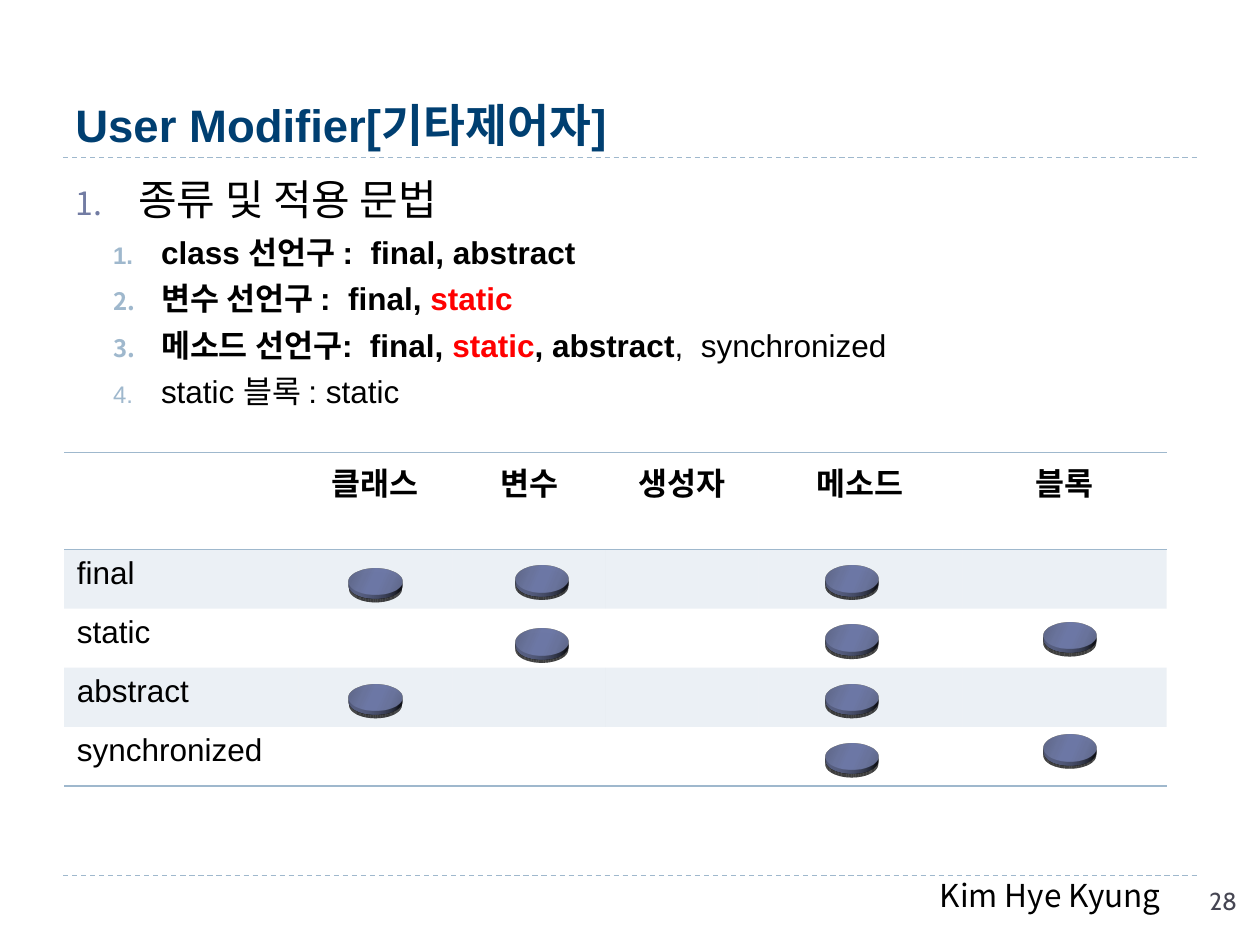
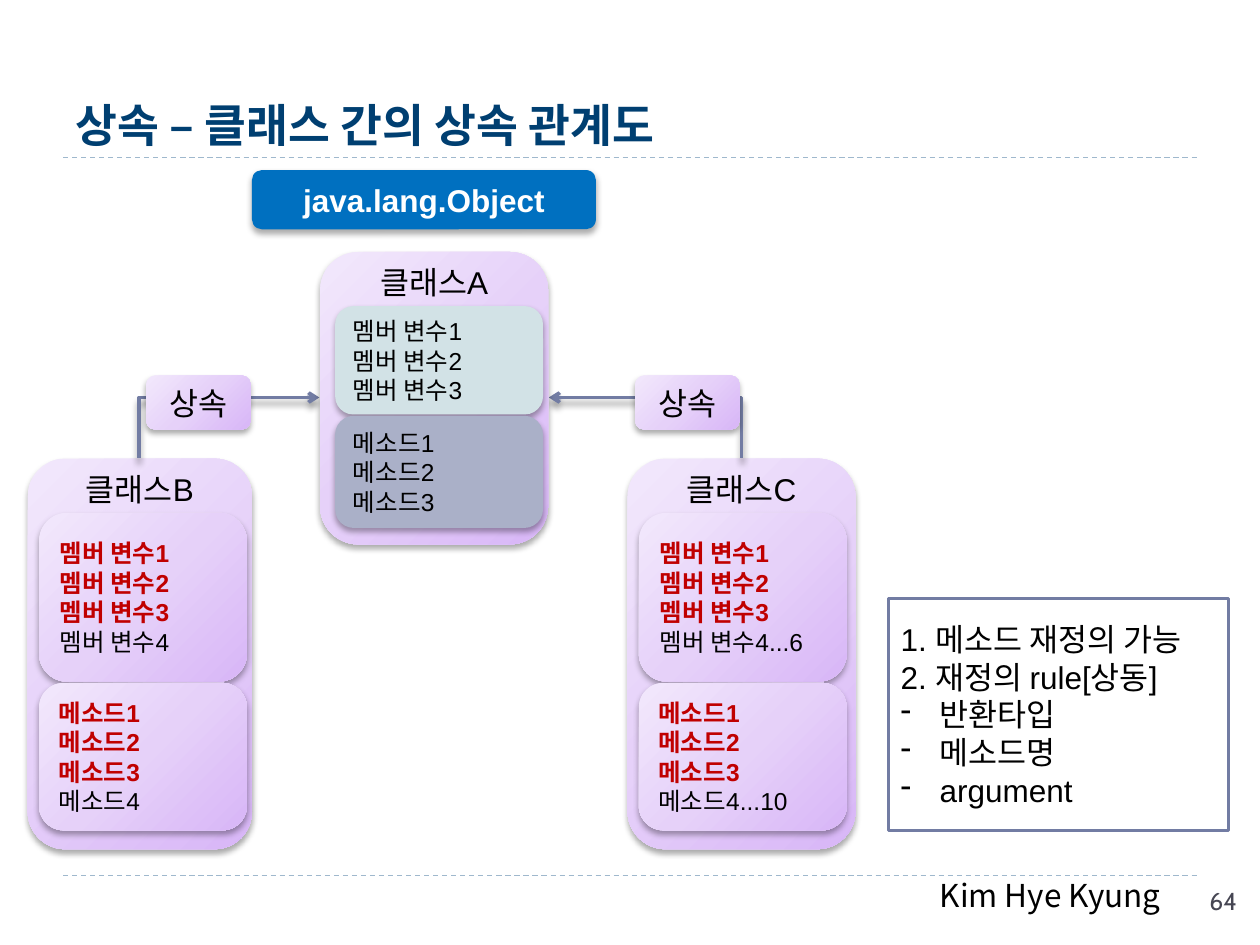
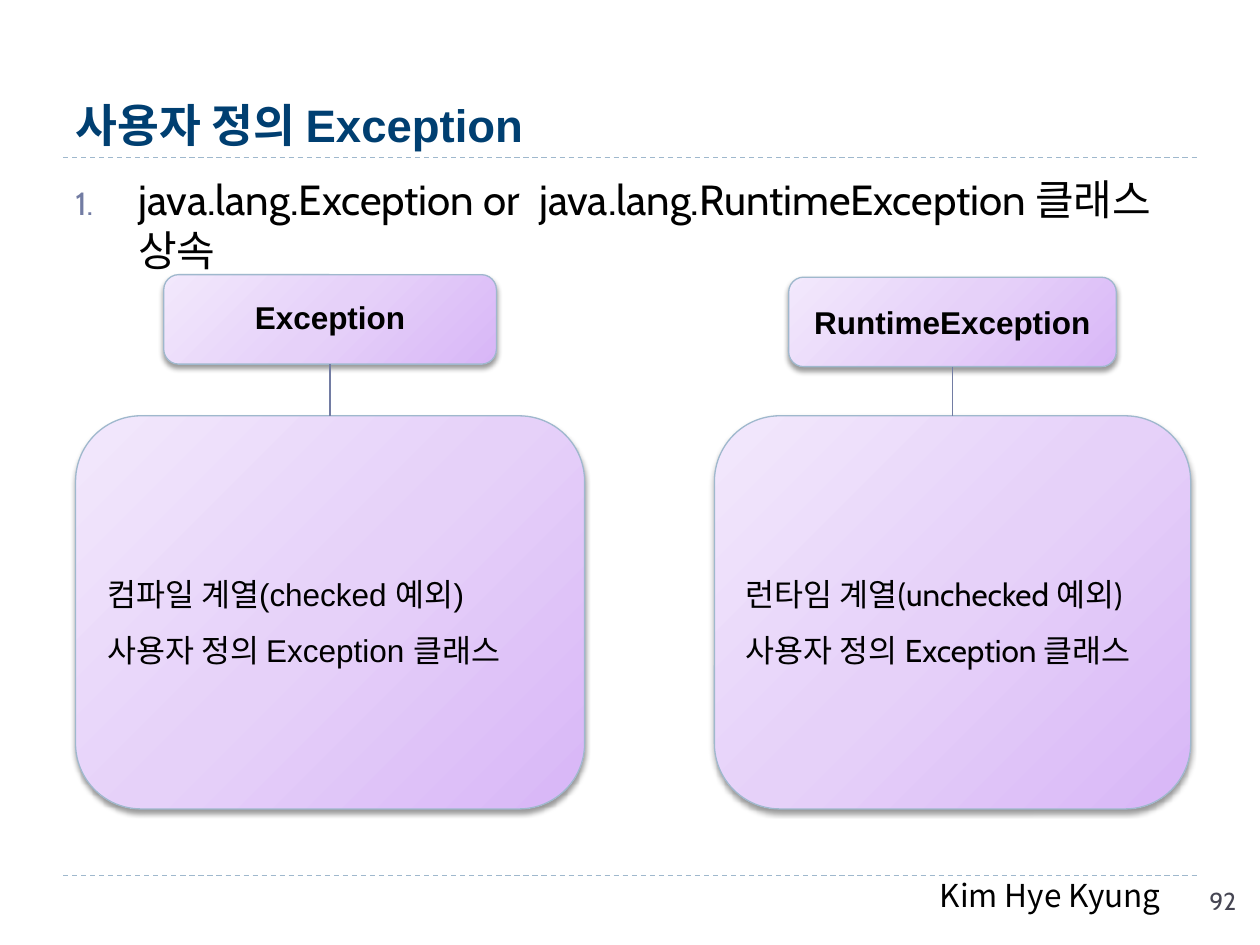
from lxml import etree
from pptx import Presentation
from pptx.dml.color import RGBColor
from pptx.enum.dml import MSO_LINE
from pptx.enum.shapes import MSO_CONNECTOR, MSO_SHAPE
from pptx.enum.text import MSO_ANCHOR, PP_ALIGN
from pptx.oxml import parse_xml
from pptx.oxml.ns import qn
from pptx.util import Inches, Pt

STRAIGHT, ELBOW = MSO_CONNECTOR.STRAIGHT, MSO_CONNECTOR.ELBOW
ROUND, RECT, OVAL = MSO_SHAPE.ROUNDED_RECTANGLE, MSO_SHAPE.RECTANGLE, MSO_SHAPE.OVAL
TOP, MIDDLE, BOTTOM = MSO_ANCHOR.TOP, MSO_ANCHOR.MIDDLE, MSO_ANCHOR.BOTTOM
LEFT, CENTER = PP_ALIGN.LEFT, PP_ALIGN.CENTER
DASH = MSO_LINE.DASH

NS = 'xmlns:a="http://schemas.openxmlformats.org/drawingml/2006/main"'
NOSTYLE = "{2D5ABB26-0587-4C30-8999-92F81FD0307C}"
BLACK, WHITE, RED, WINE = "000000", "FFFFFF", "FF0000", "C00000"
NAVY, SLATE, SKY, GREY = "003F71", "727CA3", "9FB8CD", "464653"
CJK = "Noto Sans CJK KR"

LILAC = ([(0, "D8B6F7"), (50, "E6D1F9"), (100, "F2E8FC")],
         '<a:path path="circle"><a:fillToRect l="100000" t="100000"/></a:path>')
DISC = ([(0, "5D6585"), (30, "6B759E"), (45, "6E79A7"),
         (55, "6E79A7"), (73, "6B759E"), (100, "5D6585")],
        '<a:lin ang="960000" scaled="1"/>')
SOFT, DEEP, EDGE, BEND = (32, 3.5, 2.2), (50, 4, 2), (40, 3, 2), (40, 4, 3.4)

BODY = {"name": "Arial", "size": Pt(18), "color": BLACK}
BOLD = {**BODY, "bold": True}
SMALL = {**BODY, "size": Pt(14)}
BIG = {**BODY, "size": Pt(24)}
HEAD = {**BOLD, "size": Pt(26), "color": NAVY}
NAME = {**BODY, "name": CJK}
PAGE = {"name": "Cabin", "size": Pt(14), "color": GREY}


def hue(code):
    """Turn a hex string into a colour."""
    return RGBColor.from_string(code)


def node(xml):
    """Parse one drawing element."""
    return parse_xml(xml.replace(" ", f" {NS} ", 1) if " " in xml.split(">")[0]
                     else xml.replace(">", f" {NS}>", 1))


def style(item, vals):
    """Set attributes from a dict of format values."""
    for key, val in vals.items():
        if key == "color":
            item.color.rgb = hue(val)
        else:
            setattr(item, key, val)


def bullet(para, mark, left, hang, color=None, font=None):
    """Give a paragraph a hanging number or character."""
    props = para._p.get_or_add_pPr()
    props.set("marL", str(Inches(left)))
    props.set("indent", str(-Inches(hang)))
    if color:
        props.append(node(f'<a:buClr><a:srgbClr val="{color}"/></a:buClr>'))
        props.append(node('<a:buSzPct val="76000"/>'))
    if font:
        props.append(node(f'<a:buFont typeface="{font}"/>'))
    if mark == "1.":
        props.append(node('<a:buAutoNum type="arabicPeriod"/>'))
    else:
        props.append(node(f'<a:buChar char="{mark}"/>'))


def write(frame, paras, font, align=LEFT, **look):
    """Fill a frame with paragraphs given as text or (runs, format, bullet)."""
    style(frame, {"word_wrap": True, **look})
    for i, item in enumerate(paras):
        runs, form, mark = ([(item, {})], {}, None) if isinstance(item, str) else item
        para = frame.paragraphs[0] if i == 0 else frame.add_paragraph()
        style(para, {"alignment": align, **form})
        if mark:
            bullet(para, *mark)
        for text, extra in runs:
            run = para.add_run()
            run.text = text
            style(run.font, {**font, **extra})


def label(slide, box, paras, font, **look):
    """Add a text box."""
    frame = slide.shapes.add_textbox(*map(Inches, box)).text_frame
    write(frame, paras, font, **look)


def blend(shape, grad):
    """Fill a shape with a gradient."""
    stops, way = grad
    marks = "".join(f'<a:gs pos="{pos * 1000}"><a:srgbClr val="{code}"/></a:gs>'
                    for pos, code in stops)
    shape.fill.background()
    props = shape._element.spPr
    props.replace(props.find(qn("a:noFill")), node(
        f'<a:gradFill rotWithShape="1"><a:gsLst>{marks}</a:gsLst>{way}</a:gradFill>'))


def shade(item, glow=None):
    """Drop the theme shadow and cast an own one if given."""
    props = item._element.spPr
    effect = props.find(qn("a:effectLst"))
    if effect is None:
        effect = etree.SubElement(props, qn("a:effectLst"))
    if glow:
        alpha, blur, dist = glow
        effect.append(node(
            f'<a:outerShdw blurRad="{Pt(blur)}" dist="{Pt(dist)}" dir="5400000" '
            f'rotWithShape="0"><a:srgbClr val="{BLACK}"><a:alpha val="{alpha * 1000}"/>'
            '</a:srgbClr></a:outerShdw>'))


def shape(slide, kind, box, fill, line=None, glow=None):
    """Add a preset shape with fill, outline and shadow."""
    item = slide.shapes.add_shape(kind, *map(Inches, box))
    item.shadow.inherit = False
    if isinstance(fill, str):
        item.fill.solid()
        item.fill.fore_color.rgb = hue(fill)
    else:
        blend(item, fill)
    if line:
        style(item.line, {"color": line[0], "width": Pt(line[1])})
    else:
        item.line.fill.background()
    shade(item, glow)
    return item


def block(slide, box, paras, font=BODY, fill=LILAC, kind=ROUND,
          line=None, glow=SOFT, **look):
    """Add a shape that holds text."""
    item = shape(slide, kind, box, fill, line, glow)
    write(item.text_frame, paras, font, **{"vertical_anchor": MIDDLE, **look})


def rule(slide, ends, color=SLATE, kind=STRAIGHT, **look):
    """Add a line."""
    line = slide.shapes.add_connector(kind, *map(Inches, ends))
    style(line.line, {"color": color, "width": Pt(0.75), **look})
    return line


def bend(slide, box, **turn):
    """Add a one-corner arrow."""
    x, y, w, h = box
    line = rule(slide, (x, y, x + w, y + h), kind=ELBOW, width=Pt(2))
    props = line._element.spPr
    props.find(qn("a:prstGeom")).set("prst", "bentConnector2")
    for key, val in turn.items():
        props.find(qn("a:xfrm")).set(key, val)
    props.find(qn("a:ln")).append(node('<a:tailEnd type="arrow"/>'))
    shade(line, BEND)


def disc(slide, x, y):
    """Add a tilted coin as a table mark."""
    item = shape(slide, OVAL, (x, y, 0.42, 0.33), DISC, glow=DEEP)
    props = item._element.spPr
    props.append(node('<a:scene3d><a:camera prst="perspectiveRelaxed"/>'
                      '<a:lightRig rig="balanced" dir="t"/></a:scene3d>'))
    props.append(node('<a:sp3d extrusionH="38100" prstMaterial="plastic"/>'))


def edge(cell, side):
    """Draw a cell border."""
    cell._tc.get_or_add_tcPr().insert(0, node(
        f'<a:{side} w="12700"><a:solidFill><a:srgbClr val="{SKY}"/>'
        f'</a:solidFill></a:{side}>'))


def grid(slide, box, cols, rows, heads, names):
    """Add the table with shaded odd rows."""
    table = slide.shapes.add_table(len(rows), len(cols), *map(Inches, box)).table
    table._tbl.tblPr.find(qn("a:tableStyleId")).text = NOSTYLE
    for col, size in zip(table.columns, cols):
        col.width = Inches(size)
    for row, size in zip(table.rows, rows):
        row.height = Inches(size)
    for r in range(len(rows)):
        for c in range(len(cols)):
            cell = table.cell(r, c)
            if r % 2:
                cell.fill.solid()
                cell.fill.fore_color.rgb = hue(SKY)
                tint = cell._tc.tcPr.find(".//" + qn("a:srgbClr"))
                tint.append(node('<a:alpha val="20000"/>'))
            else:
                cell.fill.background()
            if r in (0, len(rows) - 1):
                edge(cell, "a:lnB"[2:])
            if r == 0:
                edge(cell, "lnT")
            if r == 0 and c:
                write(cell.text_frame, [heads[c - 1]], BOLD, CENTER)
            elif r and c == 0:
                write(cell.text_frame, [names[r - 1]], BODY)


def start(prs, title, page):
    """Add a slide with title, rules and footer."""
    slide = prs.slides.add_slide(prs.slide_layouts[6])
    for y in (6.95, 1.25):
        rule(slide, (0.5, y, 9.5, y), SKY, dash_style=DASH)
    for line in slide.shapes:
        shade(line)
    label(slide, (7.36, 6.9, 2.1, 0.4), ["Kim Hye Kyung"], NAME)
    label(slide, (0.5, 0.17, 9, 1.08), [title], HEAD, vertical_anchor=BOTTOM)
    label(slide, (9.5, 6.98, 0.5, 0.4), [page], PAGE)
    return slide


def point(text, font):
    """Make a numbered main point."""
    return [(text, {})], {}, ("1.", 0.5, 0.5, SLATE, font)


def step(*runs):
    """Make a numbered point of the second level."""
    return (runs, {"level": 1, "space_before": Pt(5)},
            ("1.", 0.68, 0.38, SKY, CJK))


def series(word, tail=None):
    """List three numbered members, red and bold when a fourth follows."""
    look = {"color": WINE, "bold": True} if tail else {}
    lines = [([(f"{word}{n}", look)], {}, None) for n in (1, 2, 3)]
    return lines + ([f"{word}{tail}"] if tail else [])


def panel(slide, box, name, parts):
    """Add a class with its member boxes."""
    block(slide, box, [name], align=CENTER, vertical_anchor=TOP, margin_top=0)
    for part, fill, paras in parts:
        block(slide, part, paras, SMALL, fill)


def modify(prs):
    """Build the modifier slide."""
    slide = start(prs, "User Modifier[기타제어자]", "28")
    strong, red = {"bold": True}, {"bold": True, "color": RED}
    small = {"size": Pt(18)}
    strong, red = {**small, **strong}, {**small, **red}
    label(slide, (0.5, 1.33, 9, 5.4), [
        point("종류 및 적용 문법", CJK),
        step(("class 선언구 :  final, abstract", strong)),
        step(("변수 선언구 :  final, ", strong), ("static", red)),
        step(("메소드 선언구:  final, ", strong), ("static", red),
             (", abstract", strong), (",  synchronized", small)),
        step(("static 블록 : static", small))], BIG)
    grid(slide, (0.51, 3.59, 8.75, 2.65),
         (1.86, 1.22, 1.22, 1.21, 1.62, 1.62), (0.77,) + (0.47,) * 4,
         ("클래스", "변수", "생성자", "메소드", "블록"),
         ("final", "static", "abstract", "synchronized"))
    marks = {2.77: (4.45, 5.37), 4.09: (4.43, 4.93),
             6.55: (4.43, 4.9, 5.37, 5.84), 8.28: (4.88, 5.77)}
    for x, tops in marks.items():
        for y in tops:
            disc(slide, x, y)


def inherit(prs):
    """Build the class relation slide."""
    slide = start(prs, "상속 – 클래스 간의 상속 관계도", "64")
    for x, wide, name, field, call in ((0.22, 1.78, "B", "4", "4"),
                                       (4.98, 1.81, "C", "4...6", "4...10")):
        panel(slide, (x, 3.64, wide, 3.1), f"클래스{name}", [
            ((x + 0.09, 4.07, 1.65, 1.34), LILAC, series("멤버 변수", field)),
            ((x + 0.09, 5.42, 1.65, 1.17), LILAC, series("메소드", call))])
    bend(slide, (1.58, 2.68, 0.48, 1.43), rot="5400000", flipH="1", flipV="1")
    bend(slide, (4.88, 2.63, 0.48, 1.53), rot="16200000", flipV="1")
    for x in (5.04, 1.16):
        block(slide, (x, 2.98, 0.83, 0.43), ["상속"], align=CENTER)
    panel(slide, (2.54, 2, 1.81, 2.32), "클래스A", [
        ((2.66, 2.43, 1.65, 0.86), "D2E2E6", series("멤버 변수")),
        ((2.66, 3.3, 1.65, 0.89), "AAB0C8", series("메소드"))])
    dashes = [([(text, {})], {}, ("-", 0.31, 0.31))
              for text in ("반환타입", "메소드명", "argument")]
    block(slide, (7.05, 4.75, 2.7, 1.84),
          ["1. 메소드 재정의 가능", "2. 재정의 rule[상동]"] + dashes,
          fill=WHITE, kind=RECT, line=(SLATE, 1.5), glow=None)
    block(slide, (2, 1.35, 2.73, 0.47), ["java.lang.Object"],
          {**BOLD, "color": WHITE}, "0070C0", align=CENTER)


def custom(prs):
    """Build the user exception slide."""
    slide = start(prs, "사용자 정의 Exception", "92")
    label(slide, (0.5, 1.33, 9, 5.4), [
        point("java.lang.Exception or  java.lang.RuntimeException 클래스 상속", "Cabin")],
        {**BIG, "name": "Cabin"})
    frame = {"line": (SKY, 0.75), "glow": EDGE}
    trees = (
        ((1.3, 2.18, 2.64, 0.71), "Exception", 0.9, (0.6, 3.3, 4.04, 3.12),
         "컴파일 계열(checked 예외) 사용자 정의 Exception 클래스", "Arial"),
        ((6.26, 2.2, 2.6, 0.71), "RuntimeException", 1.0, (5.67, 3.3, 3.78, 3.12),
         "런타임 계열(unchecked 예외) 사용자 정의 Exception 클래스", "Cabin"))
    for top, name, gap, base, text, font in trees:
        block(slide, top, [([(name, {})], {"line_spacing": gap}, None)],
              BOLD, align=CENTER, **frame)
        block(slide, base, [([(text, {})], {"line_spacing": 1.5}, None)],
              {**BODY, "name": font}, **frame)
        mid = top[0] + top[2] / 2
        shade(rule(slide, (mid, top[1] + top[3], mid, base[1])))


def main():
    """Build and save the slides."""
    prs = Presentation()
    style(prs, {"slide_width": Inches(10), "slide_height": Inches(7.5)})
    for build in (modify, inherit, custom):
        build(prs)
    prs.save("out.pptx")


if __name__ == "__main__":
    main()
